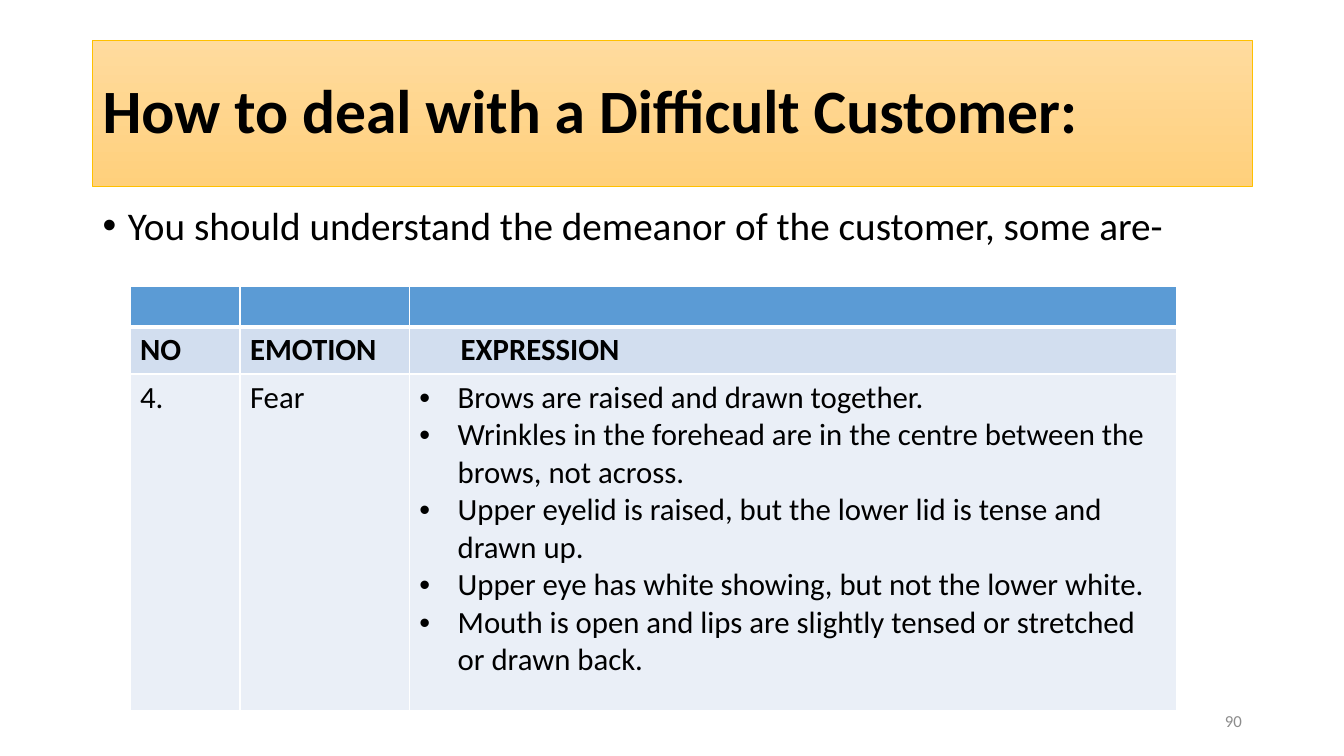
from lxml import etree
from pptx import Presentation, util as u
from pptx.dml.color import RGBColor
from pptx.enum import shapes, text
from pptx.oxml.ns import qn

COLORS = {
    "black": "000000", "white": "FFFFFF", "number": "8C8C8C", "outline": "FFC000",
    "title_top": "FFDB9E", "title_bottom": "FFD07C",
    "header": "5B9BD5", "labels": "D2DEEF", "details": "EAEFF7",
}

presentation = Presentation()
presentation.slide_width = u.Inches(13.33)
presentation.slide_height = u.Inches(7.5)
slide = presentation.slides.add_slide(presentation.slide_layouts[6])
across = presentation.slide_width / 100
down = presentation.slide_height / 100


def write(paragraph, words, size, color="black", bold=False, indent=0, bullet=False):
    paragraph.text = words
    properties = paragraph._p.get_or_add_pPr()
    if indent:
        properties.set("marL", str(u.Inches(indent)))
    if bullet:
        properties.set("indent", str(-u.Inches(indent)))
        etree.SubElement(properties, qn("a:buFont")).set("typeface", "Arial")
        etree.SubElement(properties, qn("a:buChar")).set("char", "•")
    font = paragraph.font
    font.name, font.size, font.bold = "Calibri", u.Pt(size), bold
    font.color.rgb = RGBColor.from_string(COLORS[color])


def box(left, top, width, height):
    return [round(length) for length in
            (left * across, top * down, width * across, height * down)]


title = slide.shapes.add_shape(shapes.MSO_SHAPE.RECTANGLE, *box(6.9, 5.33, 86.25, 19.33))
title.shadow.inherit = False
title.fill.gradient()
title.fill.gradient_angle = 270
for stop, name in zip(title.fill.gradient_stops, ("title_top", "title_bottom")):
    stop.color.rgb = RGBColor.from_string(COLORS[name])
title.line.color.rgb = RGBColor.from_string(COLORS["outline"])
title.line.width = u.Pt(0.5)
title.text_frame.vertical_anchor = text.MSO_ANCHOR.MIDDLE
title_paragraph = title.text_frame.paragraphs[0]
title_paragraph.alignment = text.PP_ALIGN.LEFT
title_paragraph.line_spacing = 0.9
write(title_paragraph, "How to deal with a Difficult Customer:", 44, bold=True)

body = slide.shapes.add_textbox(*box(6.9, 26.67, 86.25, 63.47))
body.text_frame.word_wrap = True
body_paragraph = body.text_frame.paragraphs[0]
body_paragraph.line_spacing = 0.9
write(body_paragraph, "You should understand the demeanor of the customer, some are-",
      28, indent=0.25, bullet=True)

number = slide.shapes.add_textbox(*box(70.65, 92.67, 22.5, 5.33))
number.text_frame.word_wrap = True
number.text_frame.vertical_anchor = text.MSO_ANCHOR.MIDDLE
number_paragraph = number.text_frame.paragraphs[0]
number_paragraph.alignment = text.PP_ALIGN.RIGHT
write(number_paragraph, "90", 12, "number")

expressions = [
    "Brows are raised and drawn together.",
    "Wrinkles in the forehead are in the centre between the brows, not across.",
    "Upper eyelid is raised, but the lower lid is tense and drawn up.",
    "Upper eye has white showing, but not the lower white.",
    "Mouth is open and lips are slightly tensed or stretched or drawn back.",
]
rows = [
    ("header", 5.33, [[], [], []]),
    ("labels", 6.27, [["NO"], ["EMOTION"], ["EXPRESSION"]]),
    ("details", 44.53, [["4."], ["Fear"], expressions]),
]
column_widths = [8.18, 12.6, 57.08]
table = slide.shapes.add_table(
    len(rows), len(column_widths),
    *box(9.68, 37.87, sum(column_widths), sum(row[1] for row in rows))).table
table.first_row = table.horz_banding = False
for column, width in zip(table.columns, column_widths):
    column.width = round(width * across)

for row_index, (kind, height, contents) in enumerate(rows):
    table.rows[row_index].height = round(height * down)
    for column_index, lines in enumerate(contents):
        cell = table.cell(row_index, column_index)
        cell_properties = cell._tc.get_or_add_tcPr()
        for side in "LRTB":
            thick = (kind, side) in (("header", "B"), ("labels", "T"))
            border = etree.SubElement(cell_properties, qn(f"a:ln{side}"))
            border.set("w", str(u.Pt(3 if thick else 1)))
            border_fill = etree.SubElement(border, qn("a:solidFill"))
            etree.SubElement(border_fill, qn("a:srgbClr")).set("val", COLORS["white"])
        cell.fill.solid()
        cell.fill.fore_color.rgb = RGBColor.from_string(COLORS[kind])
        for line_index, line in enumerate(lines):
            frame = cell.text_frame
            paragraph = frame.add_paragraph() if line_index else frame.paragraphs[0]
            last = column_index == 2
            write(paragraph, line, 22, bold=kind == "labels",
                  indent=(0.41 if kind == "labels" else 0.38) if last else 0,
                  bullet=last and kind == "details")

presentation.save("out.pptx")
